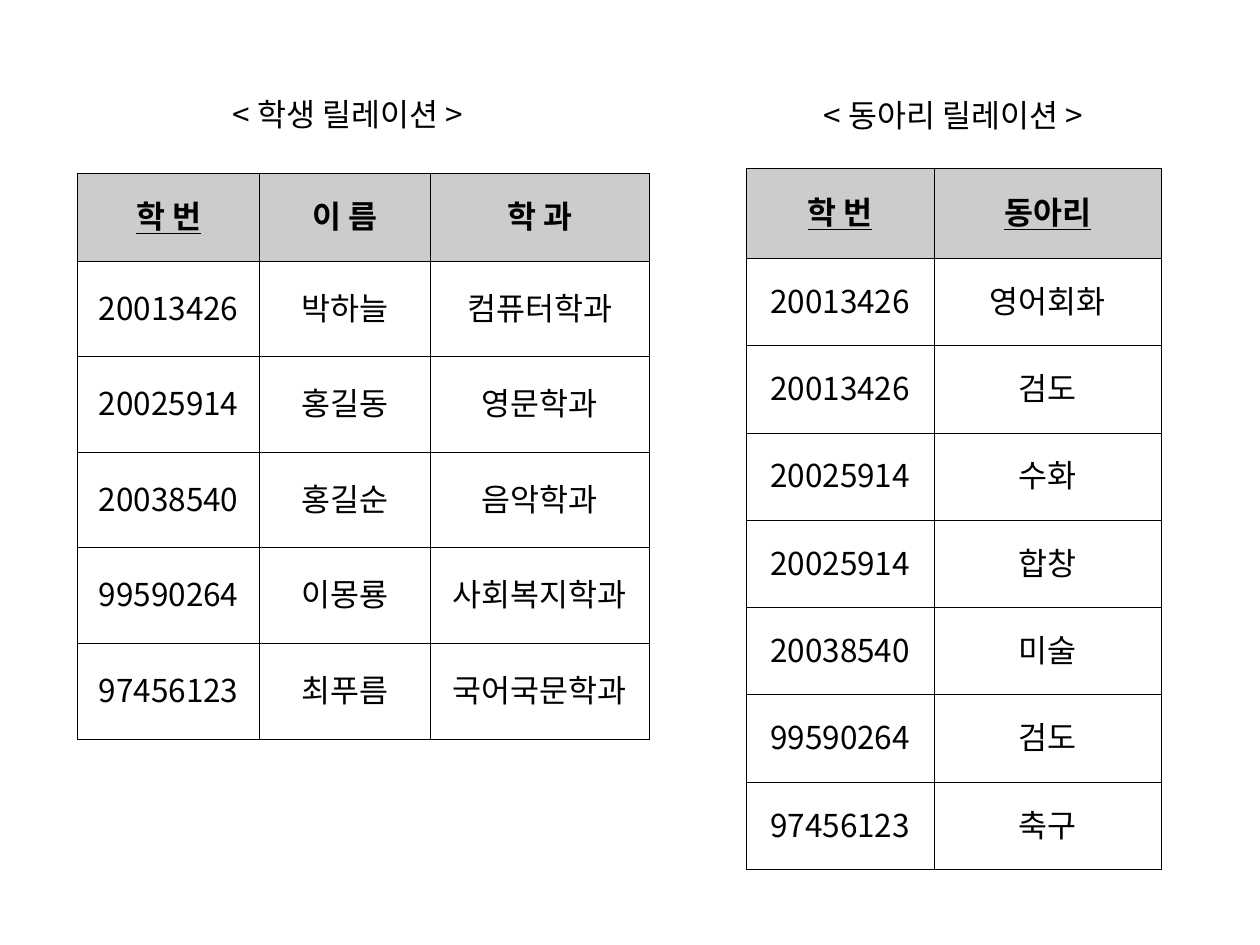
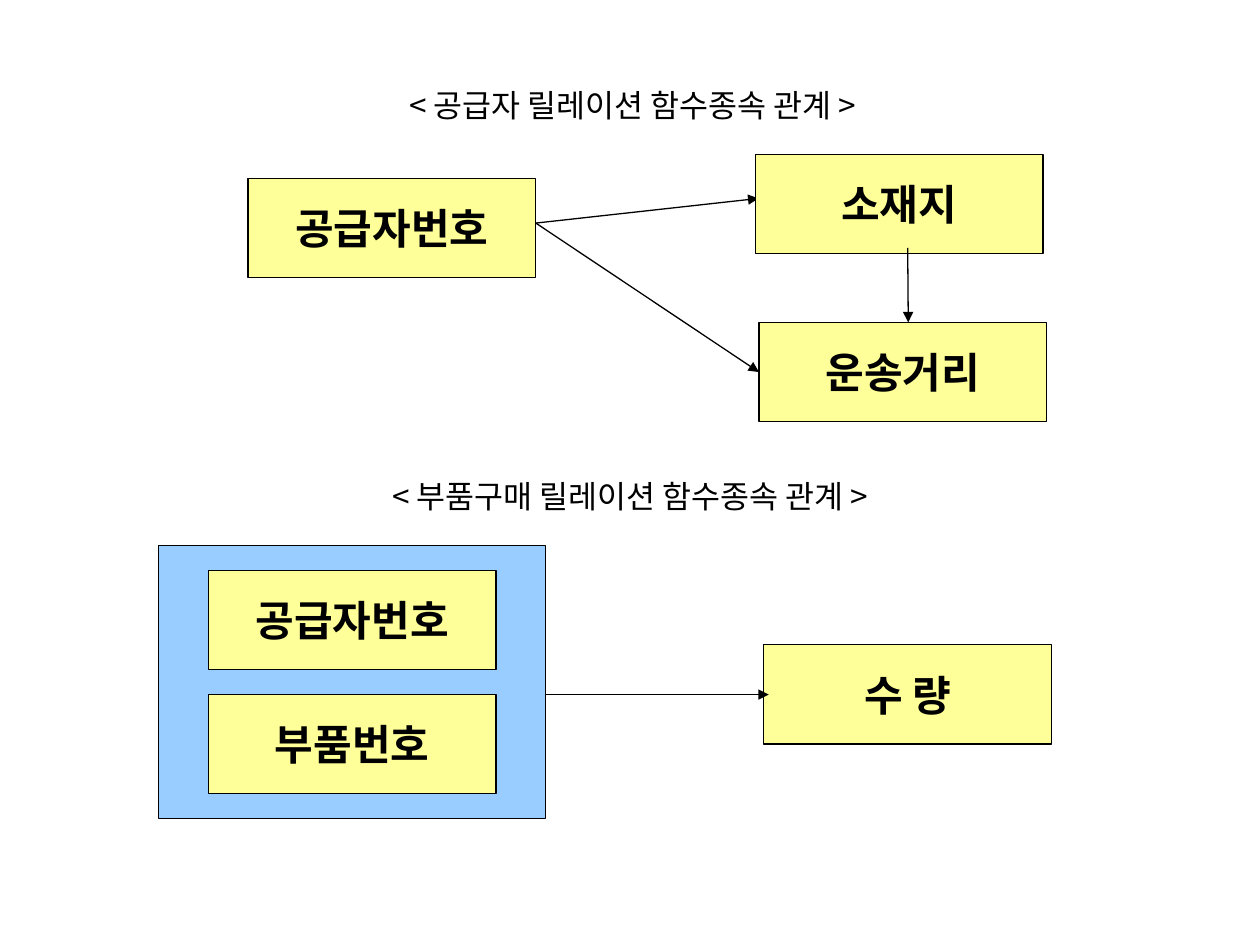
from lxml.etree import SubElement
from pptx import Presentation
from pptx.dml.color import RGBColor
from pptx.enum.shapes import MSO_CONNECTOR, MSO_SHAPE
from pptx.enum.text import MSO_ANCHOR, PP_ALIGN
from pptx.oxml.ns import qn
from pptx.util import Pt

BLACK = RGBColor(0x00, 0x00, 0x00)
WHITE = RGBColor(0xFF, 0xFF, 0xFF)
GRAY = RGBColor(0xCC, 0xCC, 0xCC)
YELLOW = RGBColor(0xFF, 0xFF, 0x99)
BLUE = RGBColor(0x99, 0xCC, 0xFF)
LATIN, KOREAN = "Arial", "Noto Sans CJK KR"

CAPTION = {"size": Pt(18), "name": KOREAN, "bold": False}
BOX_TEXT = {"size": Pt(24), "name": KOREAN, "bold": True}
HEAD_CELL = {"size": Pt(18), "name": LATIN, "bold": True}
BODY_CELL = {"size": Pt(18), "name": LATIN, "bold": False}

# Captions: text, left, top, width
TABLE_CAPTIONS = [
    ("< 학생 릴레이션 >", 126, 51, 170),
    ("< 동아리 릴레이션 >", 463.7, 51.4, 186),
]
DIAGRAM_CAPTIONS = [
    ("< 공급자 릴레이션 함수종속 관계 >", 226.8, 45.4, 300),
    ("< 부품구매 릴레이션 함수종속 관계 >", 217.2, 268.8, 316),
]

TABLES = [
    {
        "at": (44.4, 99.2), "columns": (104, 97.2, 125.6),
        "head_height": 50, "row_height": 54.6, "border": 0.28,
        "keys": ("학 번",),
        "rows": [
            ("학 번", "이 름", "학 과"),
            ("20013426", "박하늘", "컴퓨터학과"),
            ("20025914", "홍길동", "영문학과"),
            ("20038540", "홍길순", "음악학과"),
            ("99590264", "이몽룡", "사회복지학과"),
            ("97456123", "최푸름", "국어국문학과"),
        ],
    },
    {
        "at": (426.3, 96.2), "columns": (107.5, 129.6),
        "head_height": 51.4, "row_height": 49.9, "border": 0.45,
        "keys": ("학 번", "동아리"),
        "rows": [
            ("학 번", "동아리"),
            ("20013426", "영어회화"),
            ("20013426", "검도"),
            ("20025914", "수화"),
            ("20025914", "합창"),
            ("20038540", "미술"),
            ("99590264", "검도"),
            ("97456123", "축구"),
        ],
    },
]

# Attribute boxes: text, left, top
BOX_SIZE = (164.4, 56.7)
BOXES = [
    ("공급자번호", 141.7, 102),
    ("소재지", 431.7, 88.3),
    ("운송거리", 433.7, 184.2),
    ("공급자번호", 119, 326),
    ("부품번호", 119, 396.9),
    ("수 량", 436.5, 368.5),
]
KEY_PANEL = (90.7, 311.8, 221.1, 155.9)

# Dependency arrows: x1, y1, x2, y2
ARROWS_BEHIND = [(306.2, 127.5, 433.4, 113.4)]
ARROWS_IN_FRONT = [
    (306.2, 127.5, 433.7, 212.6),
    (518.7, 141.7, 519, 184.2),
    (311.8, 396.9, 439.3, 396.9),
]


def write(tf, text, style, align=PP_ALIGN.LEFT, underline=False):
    p = tf.paragraphs[0]
    p.alignment = align
    r = p.add_run()
    r.text = text
    for name, value in style.items():
        setattr(r.font, name, value)
    r.font.underline = underline
    r.font.color.rgb = BLACK
    SubElement(r.font._element, qn("a:ea"), typeface=KOREAN)
    return p


def add_caption(s, text, left, top, width):
    tf = s.shapes.add_textbox(Pt(left), Pt(top), Pt(width), Pt(28.8)).text_frame
    tf.word_wrap = True
    write(tf, text, CAPTION)


def set_borders(cell, width):
    """Draw all four cell edges; they must precede the fill in the XML."""
    tcPr = cell._tc.get_or_add_tcPr()
    for edge in ("lnL", "lnR", "lnT", "lnB"):
        ln = SubElement(tcPr, qn(f"a:{edge}"), w=str(Pt(width)))
        fill = SubElement(ln, qn("a:solidFill"))
        SubElement(fill, qn("a:srgbClr"), val=str(BLACK))


def add_relation(s, relation):
    rows, columns = relation["rows"], relation["columns"]
    heights = [relation["head_height"]] + [relation["row_height"]] * (len(rows) - 1)
    left, top = relation["at"]
    table = s.shapes.add_table(len(rows), len(columns), Pt(left), Pt(top),
                               Pt(sum(columns)), Pt(sum(heights))).table
    table.first_row = table.horz_banding = False
    for column, width in zip(table.columns, columns):
        column.width = Pt(width)
    for i, (values, height) in enumerate(zip(rows, heights)):
        table.rows[i].height = Pt(height)
        for j, text in enumerate(values):
            cell = table.cell(i, j)
            set_borders(cell, relation["border"])
            cell.fill.solid()
            cell.fill.fore_color.rgb = WHITE if i else GRAY
            cell.vertical_anchor = MSO_ANCHOR.MIDDLE
            style = BODY_CELL if i else HEAD_CELL
            if text.isdigit():
                style = style | {"name": KOREAN}
            is_key = i == 0 and text in relation["keys"]
            p = write(cell.text_frame, text, style, PP_ALIGN.CENTER, is_key)
            p.line_spacing = 0.83


def add_box(s, left, top, width, height, color):
    sp = s.shapes.add_shape(MSO_SHAPE.RECTANGLE, Pt(left), Pt(top), Pt(width), Pt(height))
    sp.shadow.inherit = False
    sp.fill.solid()
    sp.fill.fore_color.rgb = color
    sp.line.color.rgb = BLACK
    sp.line.width = Pt(0.75)
    return sp


def add_attribute(s, text, left, top):
    tf = add_box(s, left, top, *BOX_SIZE, YELLOW).text_frame
    tf.vertical_anchor = MSO_ANCHOR.MIDDLE
    write(tf, text, BOX_TEXT, PP_ALIGN.CENTER)


def add_arrow(s, *ends):
    line = s.shapes.add_connector(MSO_CONNECTOR.STRAIGHT, *map(Pt, ends))
    line.line.color.rgb = BLACK
    line.line.width = Pt(0.75)
    SubElement(line.line._get_or_add_ln(), qn("a:tailEnd"), type="triangle")
    SubElement(line._element.spPr, qn("a:effectLst"))


def add_slide(prs, captions):
    s = prs.slides.add_slide(prs.slide_layouts[6])
    for caption in captions:
        add_caption(s, *caption)
    return s


def main():
    prs = Presentation()
    prs.slide_width, prs.slide_height = Pt(720), Pt(540)

    s = add_slide(prs, TABLE_CAPTIONS)
    for relation in TABLES:
        add_relation(s, relation)

    s = add_slide(prs, DIAGRAM_CAPTIONS)
    add_box(s, *KEY_PANEL, BLUE)
    for arrow in ARROWS_BEHIND:
        add_arrow(s, *arrow)
    for box in BOXES:
        add_attribute(s, *box)
    for arrow in ARROWS_IN_FRONT:
        add_arrow(s, *arrow)

    prs.save("out.pptx")


if __name__ == "__main__":
    main()
